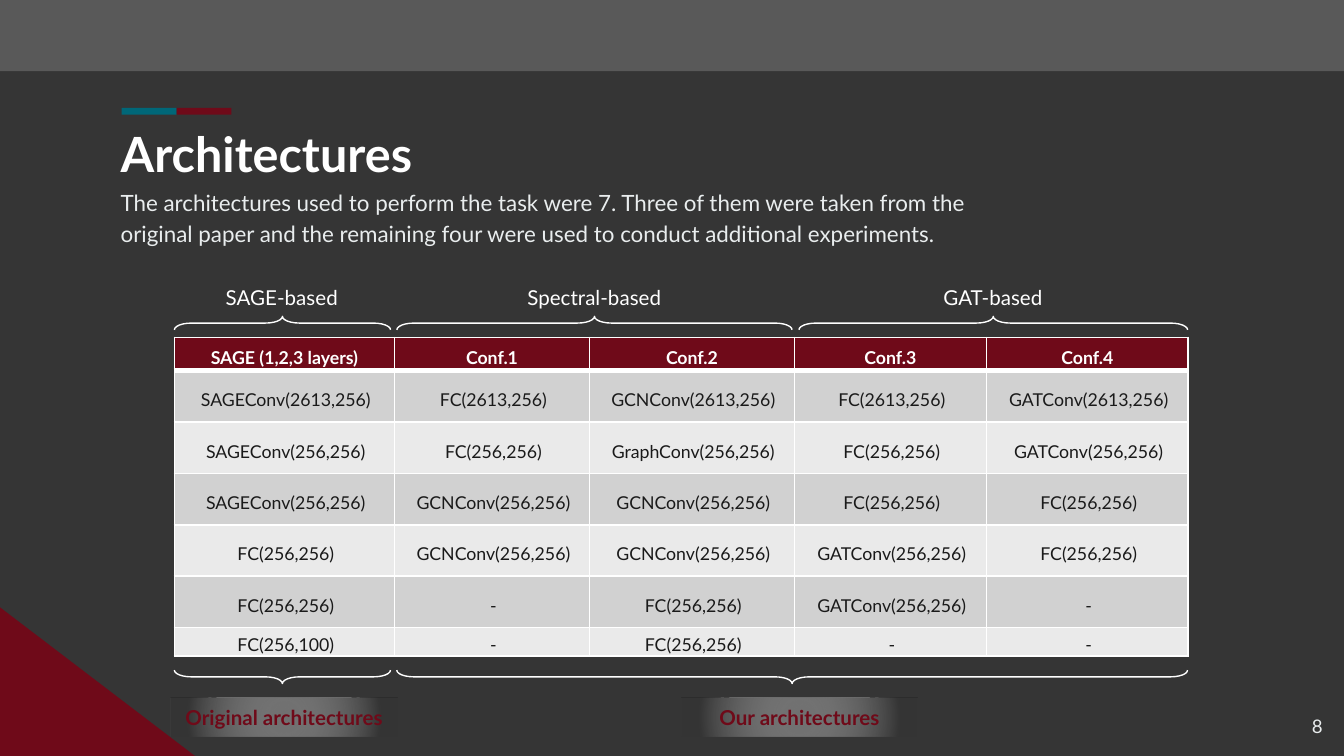
from lxml import etree
from pptx import Presentation
from pptx.dml.color import RGBColor
from pptx.enum.shapes import MSO_SHAPE as SHAPE
from pptx.enum.text import MSO_ANCHOR as ANCHOR, MSO_AUTO_SIZE as AUTO, PP_ALIGN as ALIGN
from pptx.oxml import parse_xml
from pptx.oxml.ns import nsdecls, qn
from pptx.util import Pt

BACKGROUND = RGBColor(0x35, 0x35, 0x35)
BAND = RGBColor(0x59, 0x59, 0x59)
RED = RGBColor(0x6F, 0x0A, 0x19)
TEAL = RGBColor(0x00, 0x67, 0x78)
WHITE = RGBColor(0xFF, 0xFF, 0xFF)
PALE = RGBColor(0xE9, 0xED, 0xEE)
INK = RGBColor(0x1A, 0x1A, 0x1A)
ROW_DARK = RGBColor(0xD1, 0xD1, 0xD1)
ROW_LIGHT = RGBColor(0xEA, 0xEA, 0xEA)


def add_shape(kind, x, y, w, h, fill=None):
    sp = s.shapes.add_shape(kind, Pt(x), Pt(y), Pt(w), Pt(h))
    sp.shadow.inherit = False
    sp.line.fill.background()
    if fill is None:
        sp.fill.background()
    else:
        sp.fill.solid()
        sp.fill.fore_color.rgb = fill
    return sp


def write(tf, text, size, color, bold=False, align=ALIGN.LEFT, anchor=ANCHOR.MIDDLE):
    tf.vertical_anchor = anchor
    p = tf.paragraphs[0]
    p.alignment = align
    r = p.add_run()
    r.text = text
    r.font.name, r.font.size, r.font.bold = "Lato", Pt(size), bold
    r.font.color.rgb = color
    return p


prs = Presentation()
prs.slide_width, prs.slide_height = Pt(720), Pt(405)
s = prs.slides.add_slide(prs.slide_layouts[1])
s.background.fill.solid()
s.background.fill.fore_color.rgb = BACKGROUND

# Decoration
add_shape(SHAPE.RECTANGLE, 0, 0, 720, 38.2, BAND)
add_shape(SHAPE.RIGHT_TRIANGLE, 0, 325.4, 104.4, 79.6, RED)
for x, color in ((65.2, TEAL), (94.6, RED)):
    add_shape(SHAPE.RECTANGLE, x, 57.8, 29.4, 3.6, color)

# Title and introduction
title, body = s.placeholders
for ph, y, w, h in ((title, 59, 605.5, 42.5), (body, 92.2, 499.7, 177.8)):
    ph.left, ph.top, ph.width, ph.height = Pt(57.4), Pt(y), Pt(w), Pt(h)
    tf = ph.text_frame
    tf.auto_size, tf.word_wrap = AUTO.NONE, True
    tf.margin_left = tf.margin_right = tf.margin_top = tf.margin_bottom = Pt(7.2)
write(title.text_frame, "Architectures", 26, WHITE, True, anchor=ANCHOR.TOP)
p = write(body.text_frame,
          "The architectures used to perform the task were 7. Three of them were taken from the "
          "original paper and the remaining four were used to conduct additional experiments.",
          12, PALE, anchor=ANCHOR.TOP)
p.line_spacing, p.space_before, p.space_after = 1.15, Pt(0), Pt(16)
pPr = p._p.get_or_add_pPr()
pPr.set("marL", "0")
pPr.set("indent", "0")
etree.SubElement(pPr, qn("a:buNone"))

# Slide number
tf = s.shapes.add_textbox(Pt(672.5), Pt(373.7), Pt(43.2), Pt(31)).text_frame
tf.word_wrap = True
tf.margin_left = tf.margin_right = tf.margin_top = tf.margin_bottom = Pt(7.2)
write(tf, "8", 10, PALE, align=ALIGN.RIGHT)

# Table of layers per architecture
rows = [
    ["SAGE (1,2,3 layers)", "Conf.1", "Conf.2", "Conf.3", "Conf.4"],
    ["SAGEConv(2613,256)", "FC(2613,256)", "GCNConv(2613,256)", "FC(2613,256)", "GATConv(2613,256)"],
    ["SAGEConv(256,256)", "FC(256,256)", "GraphConv(256,256)", "FC(256,256)", "GATConv(256,256)"],
    ["SAGEConv(256,256)", "GCNConv(256,256)", "GCNConv(256,256)", "FC(256,256)", "FC(256,256)"],
    ["FC(256,256)", "GCNConv(256,256)", "GCNConv(256,256)", "GATConv(256,256)", "FC(256,256)"],
    ["FC(256,256)", "-", "FC(256,256)", "GATConv(256,256)", "-"],
    ["FC(256,100)", "-", "FC(256,256)", "-", "-"],
]
widths = [118, 104.5, 109.7, 103, 108]
heights = [18] + [27.5] * 5 + [15.2]
table = s.shapes.add_table(len(rows), len(widths), Pt(93.4), Pt(180.7),
                           Pt(sum(widths)), Pt(sum(heights))).table
for column, w in zip(table.columns, widths):
    column.width = Pt(w)
for i, (row, h) in enumerate(zip(rows, heights)):
    table.rows[i].height = Pt(h)
    header = i == 0
    for j, text in enumerate(row):
        cell = table.cell(i, j)
        cell.margin_left, cell.margin_right = Pt(5.8 if header else 7.2), Pt(5.8)
        cell.margin_top, cell.margin_bottom = Pt(2.9), Pt(0)
        cell.vertical_anchor = ANCHOR.MIDDLE
        tcPr = cell._tc.get_or_add_tcPr()
        for side in "LRTB":
            thick = (i, side) in ((0, "B"), (1, "T"))
            tcPr.append(parse_xml(
                f'<a:ln{side} {nsdecls("a")} w="{Pt(3 if thick else 1)}"><a:solidFill>'
                f'<a:srgbClr val="{WHITE}"/></a:solidFill></a:ln{side}>'))
        cell.fill.solid()
        cell.fill.fore_color.rgb = RED if header else ROW_DARK if i % 2 else ROW_LIGHT
        p = write(cell.text_frame, text, 9.5, WHITE if header else INK, header, ALIGN.CENTER)
        p.line_spacing, p.space_after = 1.07, Pt(0.2)

# Labels under the table, on a radial glow
for text, x, w in (("Our architectures", 365, 126.7), ("Original architectures", 91.4, 121.7)):
    sp = add_shape(SHAPE.RECTANGLE, x, 373.7, w, 20.9)
    spPr = sp._element.spPr
    spPr.replace(spPr.find(qn("a:noFill")), parse_xml(
        f'<a:gradFill {nsdecls("a")}><a:gsLst>'
        '<a:gs pos="0"><a:srgbClr val="C7C7C7"><a:alpha val="40000"/></a:srgbClr></a:gs>'
        f'<a:gs pos="84000"><a:srgbClr val="{BACKGROUND}"/></a:gs></a:gsLst>'
        '<a:path path="circle"><a:fillToRect l="50000" t="50000" r="50000" b="50000"/></a:path>'
        '</a:gradFill>'))
    sp.text_frame.word_wrap = False
    write(sp.text_frame, text, 11, RED, True, ALIGN.CENTER)

# Labels above the table
for text, x in (("SAGE-based", 106), ("Spectral-based", 273.4), ("GAT-based", 486.9)):
    tf = s.shapes.add_textbox(Pt(x), Pt(149), Pt(90), Pt(20.9)).text_frame
    tf.word_wrap = True
    write(tf, text, 11, WHITE, align=ALIGN.CENTER)

# Braces, turned to lie along the table's edges
depth = 7.2
for x1, x2, y, angle in ((93.4, 209.2, 173.1, 90), (212.6, 424.3, 173.1, 90),
                         (428, 636.2, 173.1, 90),
                         (93.4, 209.2, 362.6, 270), (212.6, 636.2, 362.6, 270)):
    length = x2 - x1
    sp = add_shape(SHAPE.LEFT_BRACE, (x1 + x2 - depth) / 2, y - length / 2, depth, length)
    sp.rotation = angle
    sp.adjustments[0] = 1.27
    sp.line.color.rgb = WHITE
    sp.line.width = Pt(0.75)

prs.save("out.pptx")
